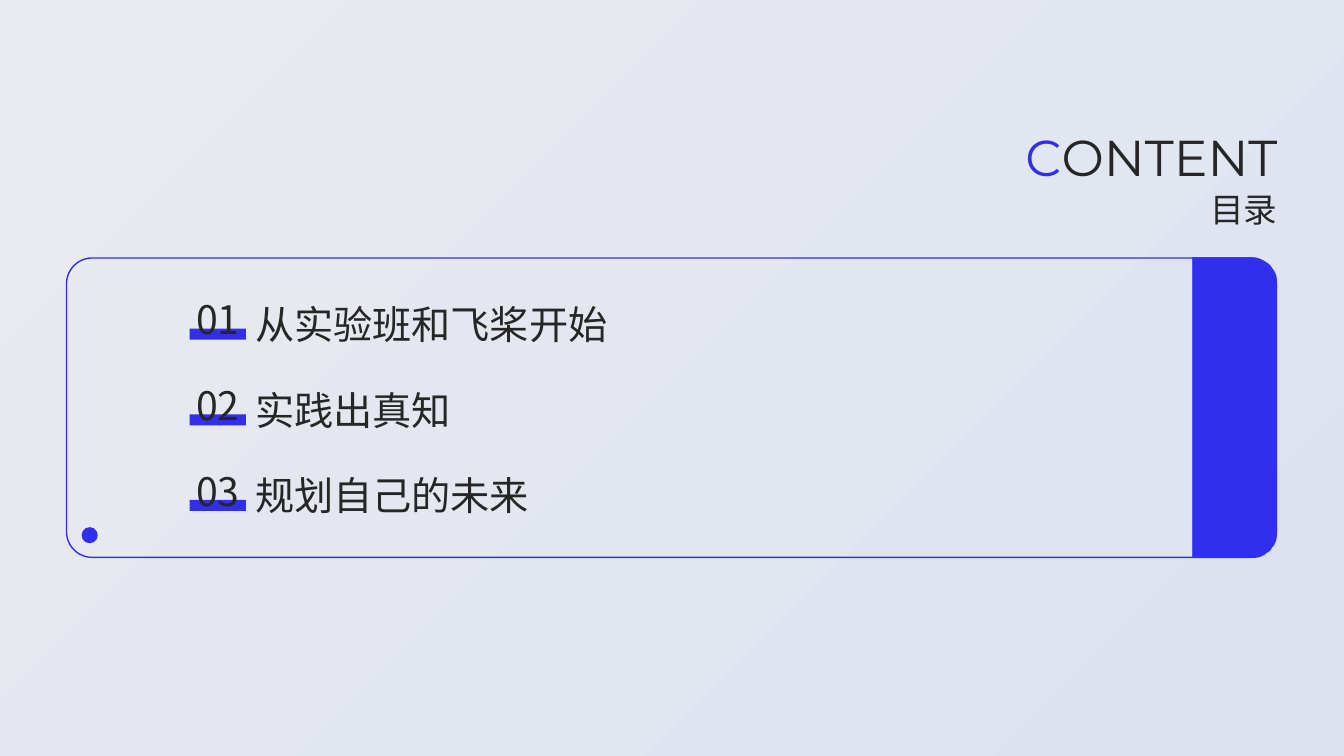
from lxml import etree
from pptx import Presentation
from pptx.dml.color import RGBColor
from pptx.enum.shapes import MSO_SHAPE
from pptx.enum.text import MSO_ANCHOR, MSO_AUTO_SIZE, PP_ALIGN
from pptx.oxml.ns import qn
from pptx.util import Inches, Pt

RECTANGLE, ROUNDED, OVAL = MSO_SHAPE.RECTANGLE, MSO_SHAPE.ROUNDED_RECTANGLE, MSO_SHAPE.OVAL
LEFT, CENTER, RIGHT = PP_ALIGN.LEFT, PP_ALIGN.CENTER, PP_ALIGN.RIGHT
TOP, MIDDLE = MSO_ANCHOR.TOP, MSO_ANCHOR.MIDDLE
NO_AUTOFIT = MSO_AUTO_SIZE.NONE

BLUE, INK, WHITE = "2F2FEC", "262626", "FFFFFF"
LATIN_FONT, CHINESE_FONT = "Montserrat", "Noto Sans CJK SC"
CHAPTERS = ["从实验班和飞桨开始", "实践出真知", "规划自己的未来"]
ROW_TOP, ROW_HEIGHT, ROW_PITCH = 2.93, 0.47, 0.85
LINE_HEIGHT = 0.56


def place_text(holder, box, text, size, font_name, align, anchor=MIDDLE):
    """Position a text holder and fill it, one paragraph per line of text."""
    holder.left, holder.top, holder.width, holder.height = map(Inches, box)
    frame = holder.text_frame
    frame.text = text
    frame.word_wrap = True
    frame.auto_size = NO_AUTOFIT
    frame.vertical_anchor = anchor
    frame.margin_left = frame.margin_right = frame.margin_top = frame.margin_bottom = 0
    for paragraph in frame.paragraphs:
        paragraph.alignment = align
        paragraph.space_before = Pt(0)
        for run in paragraph.runs:
            run.font.size = Pt(size)
            run.font.color.rgb = RGBColor.from_string(INK)
            run.font.name = font_name
            east_asian = etree.SubElement(run.font._element, qn("a:ea"))
            east_asian.set("typeface", font_name)
    return frame


def add_figure(kind, box, stops=None, angle=0):
    """Add a borderless shape, blue or with a gradient of (position, colour) stops."""
    figure = slide.shapes.add_shape(kind, *map(Inches, box))
    figure.shadow.inherit = False
    figure.line.fill.background()
    if stops:
        figure.fill.gradient()
        figure.fill.gradient_angle = angle
        for stop, (position, colour) in zip(figure.fill.gradient_stops, stops):
            stop.position = position
            stop.color.rgb = RGBColor.from_string(colour)
    else:
        figure.fill.solid()
        figure.fill.fore_color.rgb = RGBColor.from_string(BLUE)
    return figure


prs = Presentation()
prs.slide_width, prs.slide_height = Inches(13.33), Inches(7.5)
slide = prs.slides.add_slide(prs.slide_layouts[1])

# Backdrop and panel, moved behind the placeholders
backdrop = add_figure(RECTANGLE, (0, 0, 13.33, 7.5), [(0, "EAEBF0"), (1, "DDE2F1")], 315)
panel = add_figure(ROUNDED, (0.66, 2.56, 12, 2.97), [(0.93, WHITE), (0.93, BLUE)])
panel.adjustments[0] = 0.086
clear_stop = panel._element.spPr.find(".//" + qn("a:srgbClr"))
etree.SubElement(clear_stop, qn("a:alpha")).set("val", "0")
panel.line.color.rgb = RGBColor.from_string(BLUE)
panel.line.width = Pt(1)
shape_tree = slide.shapes._spTree
shape_tree.insert(2, backdrop._element)
shape_tree.insert(3, panel._element)

# Heading, with a blue initial
heading = place_text(slide.shapes.title, (10.01, 1.25, 2.66, 0.61), "C", 36, LATIN_FONT, RIGHT)
initial = heading.paragraphs[0].runs[0]
rest = heading.paragraphs[0].add_run()
rest.text = "ONTENT"
rest.font.size = Pt(36)
rest.font.color.rgb = RGBColor.from_string(INK)
rest.font.name = LATIN_FONT
initial.font.color.rgb = RGBColor.from_string(BLUE)

subheading = slide.shapes.add_textbox(0, 0, 0, 0)
place_text(subheading, (11.87, 1.87, 0.8, 0.4), "目录", 24, CHINESE_FONT, RIGHT)
add_figure(OVAL, (0.81, 5.23, 0.16, 0.16))

# Chapter list, one line per row
list_top = ROW_TOP - (LINE_HEIGHT - ROW_HEIGHT) / 2
chapter_list = place_text(slide.placeholders[1], (2.53, list_top, 3.8, 2.3),
                          "\n".join(CHAPTERS), 28, CHINESE_FONT, LEFT, TOP)
for chapter in chapter_list.paragraphs:
    chapter.line_spacing = Inches(LINE_HEIGHT)
    chapter.space_after = Inches(ROW_PITCH - LINE_HEIGHT)
    properties = chapter._p.get_or_add_pPr()
    properties.set("marL", "0")
    properties.set("indent", "0")
    etree.SubElement(properties, qn("a:buNone"))

# Underlined chapter numbers
for row in range(len(CHAPTERS)):
    top = ROW_TOP + row * ROW_PITCH
    add_figure(RECTANGLE, (1.88, top + 0.33, 0.56, 0.11))
    number = slide.shapes.add_textbox(0, 0, 0, 0)
    place_text(number, (1.88, top, 0.56, ROW_HEIGHT), f"{row + 1:02d}", 28, CHINESE_FONT, CENTER)

prs.save("out.pptx")
